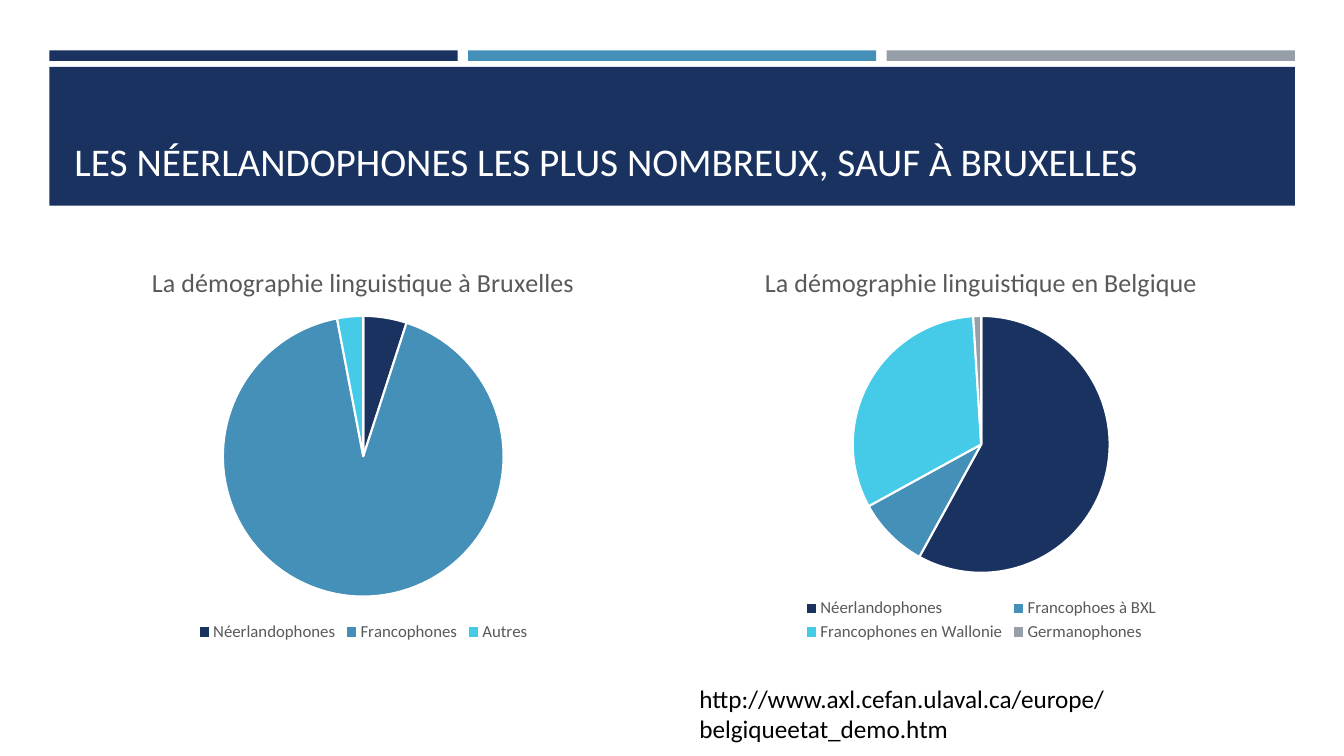
from lxml import etree
from pptx import Presentation
from pptx.chart.data import CategoryChartData
from pptx.dml.color import RGBColor
from pptx.enum import chart as chart_enum, shapes, text
from pptx.oxml import ns
from pptx.util import Pt

NAVY = RGBColor(0x1A, 0x32, 0x60)
BLUE = RGBColor(0x45, 0x90, 0xB8)
CYAN = RGBColor(0x45, 0xCB, 0xE8)
GRAY = RGBColor(0x96, 0x9F, 0xA7)
DARK_GRAY = RGBColor(0x59, 0x59, 0x59)
WHITE = RGBColor(0xFF, 0xFF, 0xFF)
BLACK = RGBColor(0, 0, 0)
FONT = "Calibri"

TITLE = "LES NÉERLANDOPHONES LES PLUS NOMBREUX, SAUF À BRUXELLES"
SOURCE = "http://www.axl.cefan.ulaval.ca/europe/belgiqueetat_demo.htm"
STRIPES = [NAVY, BLUE, GRAY]
SLICES = [NAVY, BLUE, CYAN, GRAY]
CHARTS = [
    {
        "title": "La démographie linguistique à Bruxelles",
        "values": {"Néerlandophones": 5, "Francophones": 92, "Autres": 3},
        "diameter": 200.5,
    },
    {
        "title": "La démographie linguistique en Belgique",
        "values": {
            "Néerlandophones": 58,
            "Francophoes à BXL": 9,
            "Francophones en Wallonie": 32,
            "Germanophones": 1,
        },
        "diameter": 183.5,
    },
]

MARGIN, STRIPE_TOP, STRIPE_WIDTH, STRIPE_STEP = 35.3, 36, 291.6, 299
CHART_LEFT, CHART_TOP, CHART_WIDTH, CHART_HEIGHT = 46, 175.7, 427, 285.8
CHART_STEP, PIE_OFFSET = 441.4, 50


def style(font, size, color):
    font.name, font.size, font.bold = FONT, Pt(size), False
    font.color.rgb = color


def add_bar(slide, left, top, width, height, color):
    bar = slide.shapes.add_shape(
        shapes.MSO_SHAPE.RECTANGLE, Pt(left), Pt(top), Pt(width), Pt(height))
    bar.shadow.inherit = False
    bar.fill.solid()
    bar.fill.fore_color.rgb = color
    bar.line.fill.background()
    return bar


def place_pie(chart, diameter):
    plot_area = chart.plots[0]._element.getparent()
    for old in plot_area.findall(ns.qn("c:layout")):
        plot_area.remove(old)
    layout = etree.Element(ns.qn("c:layout"))
    manual = etree.SubElement(layout, ns.qn("c:manualLayout"))
    settings = {
        "layoutTarget": "inner",
        "xMode": "edge",
        "yMode": "edge",
        "x": (1 - diameter / CHART_WIDTH) / 2,
        "y": PIE_OFFSET / CHART_HEIGHT,
        "w": diameter / CHART_WIDTH,
        "h": diameter / CHART_HEIGHT,
    }
    for name, value in settings.items():
        etree.SubElement(manual, ns.qn(f"c:{name}")).set("val", str(value))
    plot_area.insert(0, layout)


def add_pie(slide, left, content):
    data = CategoryChartData()
    data.categories = list(content["values"])
    data.add_series("Series 1", list(content["values"].values()))
    chart = slide.shapes.add_chart(
        chart_enum.XL_CHART_TYPE.PIE, Pt(left), Pt(CHART_TOP),
        Pt(CHART_WIDTH), Pt(CHART_HEIGHT), data).chart
    style(chart.font, 10, BLACK)
    chart.has_title = True
    chart.chart_title.include_in_layout = False
    chart.chart_title.text_frame.text = content["title"]
    style(chart.chart_title.text_frame.paragraphs[0].font, 18.6, DARK_GRAY)
    chart.has_legend = True
    chart.legend.position = chart_enum.XL_LEGEND_POSITION.BOTTOM
    chart.legend.include_in_layout = False
    style(chart.legend.font, 12, DARK_GRAY)
    plot = chart.plots[0]
    plot.vary_by_categories = True
    for index, color in enumerate(SLICES[:len(content["values"])]):
        point = plot.series[0].points[index].format
        point.fill.solid()
        point.fill.fore_color.rgb = color
        point.line.color.rgb = WHITE
        point.line.width = Pt(1.5)
    place_pie(chart, content["diameter"])


def main():
    presentation = Presentation()
    presentation.slide_width, presentation.slide_height = Pt(960), Pt(540)
    slide = presentation.slides.add_slide(presentation.slide_layouts[5])

    for index, color in enumerate(STRIPES):
        add_bar(slide, MARGIN + index * STRIPE_STEP, STRIPE_TOP, STRIPE_WIDTH, 7.6, color)
    band = add_bar(slide, MARGIN, 47.8, 889.6, 99.2, NAVY)

    title = slide.shapes.title
    band._element.addnext(title._element)
    title.left, title.top, title.width, title.height = Pt(46), Pt(57.6), Pt(868), Pt(77.8)
    title.text_frame.text = TITLE
    title.text_frame.word_wrap = True
    title.text_frame.vertical_anchor = text.MSO_ANCHOR.BOTTOM
    heading = title.text_frame.paragraphs[0]
    heading.alignment = text.PP_ALIGN.LEFT
    heading.line_spacing = 0.9
    style(heading.font, 28, WHITE)

    for index, content in enumerate(CHARTS):
        add_pie(slide, CHART_LEFT + index * CHART_STEP, content)

    source = slide.shapes.add_textbox(Pt(492.5), Pt(484.6), Pt(460), Pt(29))
    source.text_frame.word_wrap = True
    source.text_frame.text = SOURCE
    style(source.text_frame.paragraphs[0].font, 18, BLACK)

    presentation.save("out.pptx")


if __name__ == "__main__":
    main()
